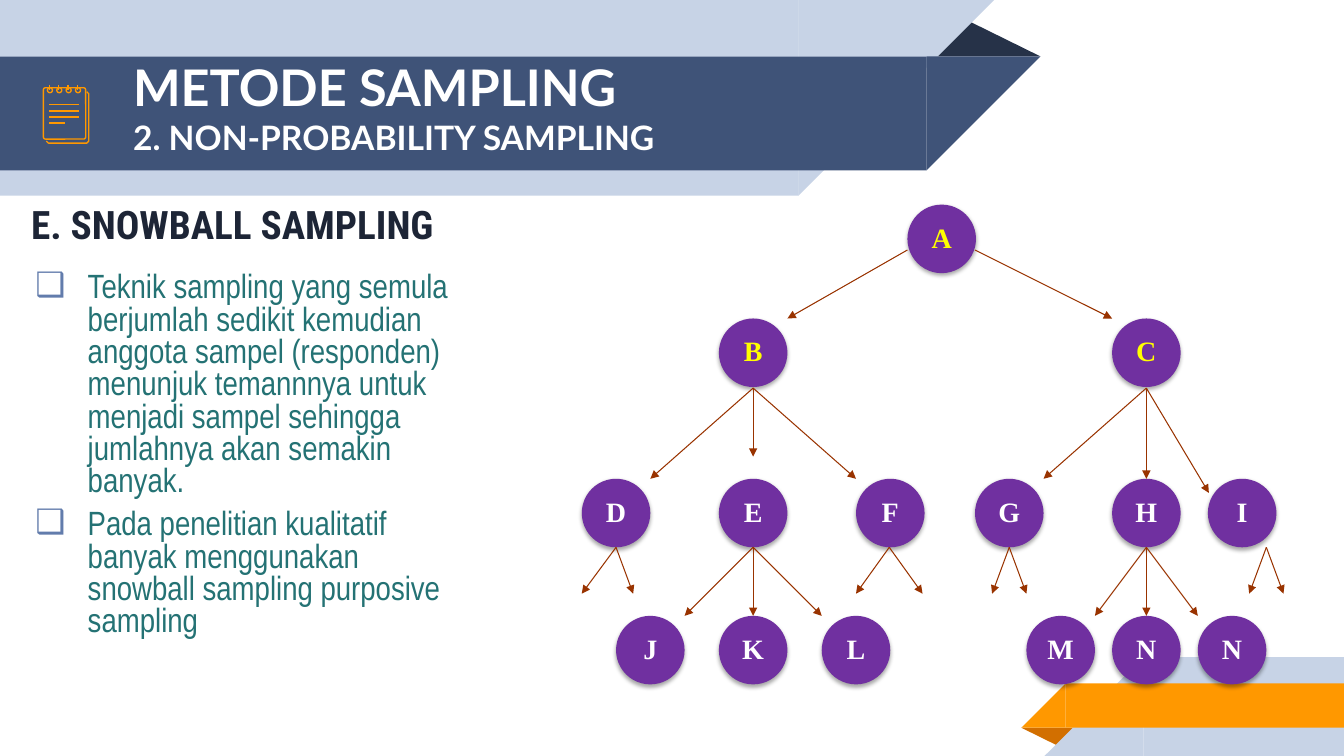
"""Builds the snowball sampling slide with its referral tree."""
from lxml.etree import SubElement as Sub
from pptx import Presentation
from pptx.dml.color import RGBColor
from pptx.enum.shapes import MSO_CONNECTOR as Link, MSO_SHAPE as Kind
from pptx.enum.text import MSO_ANCHOR as Anchor, MSO_AUTO_SIZE as Fit, PP_ALIGN as Align
from pptx.oxml.ns import qn
from pptx.util import Inches, Pt


def style(para, font, size, color, bold=True):
    """Formats every run of a paragraph."""
    for run in para.runs:
        run.font.name, run.font.size, run.font.bold = font, Pt(size), bold
        run.font.color.rgb = RGBColor.from_string(color)


def draw(shapes, kind, box, fill=None, line=None):
    """Adds a preset shape, or a line from point to point, without effects."""
    a, b, c, d = map(Inches, box)
    if kind is Link.STRAIGHT:
        item = shapes.add_connector(kind, a, b, c, d)
        Sub(item.element.spPr, qn("a:effectLst"))
    else:
        item = shapes.add_shape(kind, a, b, c, d)
        item.shadow.inherit = False
        if fill:
            item.fill.solid()
            item.fill.fore_color.rgb = RGBColor.from_string(fill)
        else:
            item.fill.background()
    if line:
        item.line.color.rgb = RGBColor.from_string(line)
        item.line.width = Pt(0.75)
    else:
        item.line.fill.background()
    return item


deck = Presentation()
deck.slide_width, deck.slide_height = Inches(13.33), Inches(7.5)
slide = deck.slides.add_slide(deck.slide_layouts[1])
shapes = slide.shapes

PALE, NAVY, ORANGE = "C7D3E6", "3F5378", "FF9800"
bands = [
    (Kind.ISOSCELES_TRIANGLE, (9.18, 0.18, 1.14, 0.38), "263248", 0, False),
    (Kind.RECTANGLE, (0, 0, 7.92, 1.94), PALE, 180, True),
    (Kind.RIGHT_TRIANGLE, (7.92, 0, 1.94, 1.94), PALE, 180, True),
    (Kind.RECTANGLE, (0, 0.56, 9.19, 1.13), NAVY, 180, True),
    (Kind.RIGHT_TRIANGLE, (9.19, 0.56, 1.13, 1.13), NAVY, 180, True),
    (Kind.ISOSCELES_TRIANGLE, (10.13, 7.22, 0.57, 0.19), "D26F00", 180, False),
    (Kind.RECTANGLE, (11.34, 6.52, 1.99, 0.98), PALE, 0, True),
    (Kind.RIGHT_TRIANGLE, (10.36, 6.52, 0.98, 0.98), PALE, 0, True),
    (Kind.RECTANGLE, (10.57, 6.78, 2.76, 0.44), ORANGE, 0, True),
    (Kind.RIGHT_TRIANGLE, (10.13, 6.78, 0.44, 0.44), ORANGE, 0, True),
]
for kind, box, color, turn, flip in bands:
    band = draw(shapes, kind, box, color)
    band.rotation = turn
    if flip:
        band.element.spPr.get_or_add_xfrm().set("flipH", "1")
    if kind is Kind.ISOSCELES_TRIANGLE:
        band.adjustments[0] = 0.324

title, body = shapes.title, slide.placeholders[1]
tree = title.element.getparent()
tree.append(title.element)
title.left, title.top, title.width, title.height = map(Inches, (1.19, 0.57, 7.67, 0.97))
frame = title.text_frame
frame.text = "METODE SAMPLING\v2. NON-PROBABILITY SAMPLING"
frame.auto_size, frame.vertical_anchor = Fit.NONE, Anchor.MIDDLE
frame.margin_left = frame.margin_right = frame.margin_top = frame.margin_bottom = Inches(0.13)
head = frame.paragraphs[0]
head.alignment = Align.LEFT
style(head, "Lato", 36, "FFFFFF")
head.runs[1].font.size = Pt(24)

icon = shapes.add_group_shape().shapes
pen = icon.build_freeform(46, 140, scale=Inches(0.01))
pen.add_line_segments([(48, 142), (86, 142), (88, 140), (88, 93), (86, 91)], close=False)
sheet = pen.convert_to_shape()
sheet.shadow.inherit = False
sheet.fill.background()
sheet.line.color.rgb = RGBColor.from_string(ORANGE)
page = draw(icon, Kind.ROUNDED_RECTANGLE, (0.43, 0.87, 0.42, 0.51), line=ORANGE)
page.adjustments[0] = 0.05
marks = [sheet, page]
for i in range(4):
    x, y = 0.47 + 0.093 * i, 1.04 + 0.06 * i
    marks += [
        draw(icon, Kind.OVAL, (x, 0.87, 0.05, 0.05), line=ORANGE),
        draw(icon, Link.STRAIGHT, (x + 0.02, 0.84, x + 0.02, 0.89), line=ORANGE),
        draw(icon, Link.STRAIGHT, (0.49, y, 0.64 if i == 3 else 0.78, y), line=ORANGE),
    ]
for mark in marks:
    mark.line.width = Pt(0.96)

label = shapes.add_textbox(*map(Inches, (0.21, 1.91, 12.4, 0.63)))
frame = label.text_frame
frame.word_wrap, frame.vertical_anchor = True, Anchor.MIDDLE
frame.margin_top = frame.margin_bottom = Inches(0.1)
frame.text = "E. SNOWBALL SAMPLING"
style(frame.paragraphs[0], "Roboto Condensed", 28, "1D2536")

tree.append(body.element)
body.left, body.top, body.width, body.height = map(Inches, (0.1, 2.61, 4.56, 4.32))
frame = body.text_frame
frame.text = (
    "Teknik sampling yang semula berjumlah sedikit kemudian anggota sampel (responden) "
    "menunjuk temannnya untuk menjadi sampel sehingga jumlahnya akan semakin banyak.\n"
    "Pada penelitian kualitatif banyak menggunakan snowball sampling purposive sampling"
)
frame.auto_size = Fit.NONE
frame.margin_left = frame.margin_right = frame.margin_top = frame.margin_bottom = Inches(0.1)
for para in frame.paragraphs:
    style(para, "Arial Narrow", 24, "247274", False)
    para.line_spacing, para.space_before = 0.8, Pt(8)
    props = para._p.get_or_add_pPr()
    props.set("marL", str(Inches(0.67)))
    props.set("indent", str(Inches(-0.52)))
    Sub(Sub(props, qn("a:buClr")), qn("a:srgbClr"), val="627CAC")
    Sub(props, qn("a:buChar"), char="❑")

chart = shapes.add_group_shape().shapes
rows = [
    (2.03, "FFFF00", [("A", 9)]),
    (3.16, "FFFF00", [("B", 7.13), ("C", 11.03)]),
    (4.75, "FFFFFF", [("D", 5.77), ("E", 7.13), ("F", 8.49),
                      ("G", 9.67), ("H", 11.03), ("I", 11.98)]),
    (6.11, "FFFFFF", [("J", 6.11), ("K", 7.13), ("L", 8.15),
                      ("M", 10.18), ("N", 11.03), ("N", 11.88)]),
]
for top, color, nodes in rows:
    for name, left in nodes:
        node = draw(chart, Kind.OVAL, (left, top, 0.68, 0.68), "7030A0")
        glow = Sub(node.element.spPr.find(qn("a:effectLst")), qn("a:outerShdw"),
                   blurRad=str(Pt(3.1)), dist=str(Pt(1.8)), dir="5400000", rotWithShape="0")
        Sub(Sub(glow, qn("a:srgbClr"), val="000000"), qn("a:alpha"), val="35000")
        frame = node.text_frame
        frame.text, frame.word_wrap = name, False
        frame.vertical_anchor = Anchor.MIDDLE
        frame.margin_left = frame.margin_right = frame.margin_top = 0
        frame.margin_bottom = Inches(0.04)
        frame.paragraphs[0].alignment = Align.CENTER
        style(frame.paragraphs[0], "Times New Roman", 20, color)

paths = [
    (9, 2.48, [(7.81, 3.16)]),
    (9.67, 2.48, [(11.03, 3.16)]),
    (7.47, 3.85, [(6.45, 4.75), (7.47, 4.53), (8.49, 4.75)]),
    (11.37, 3.85, [(10.35, 4.75), (11.37, 4.75), (11.99, 4.89)]),
    (7.47, 5.43, [(6.79, 6.11), (7.47, 6.11), (8.15, 6.11)]),
    (11.37, 5.43, [(10.86, 6.11), (11.37, 6.11), (11.88, 6.11)]),
    (6.11, 5.43, [(5.77, 5.89), (6.28, 5.89)]),
    (8.82, 5.43, [(8.49, 5.89), (9.15, 5.89)]),
    (10.01, 5.43, [(9.84, 5.89), (10.18, 5.89)]),
    (12.56, 5.43, [(12.39, 5.89), (12.73, 5.89)]),
]
for x, y, ends in paths:
    for end in ends:
        arrow = draw(chart, Link.STRAIGHT, (x, y, *end), line="993300")
        Sub(arrow.line._get_or_add_ln(), qn("a:tailEnd"), type="triangle")

deck.save("out.pptx")
